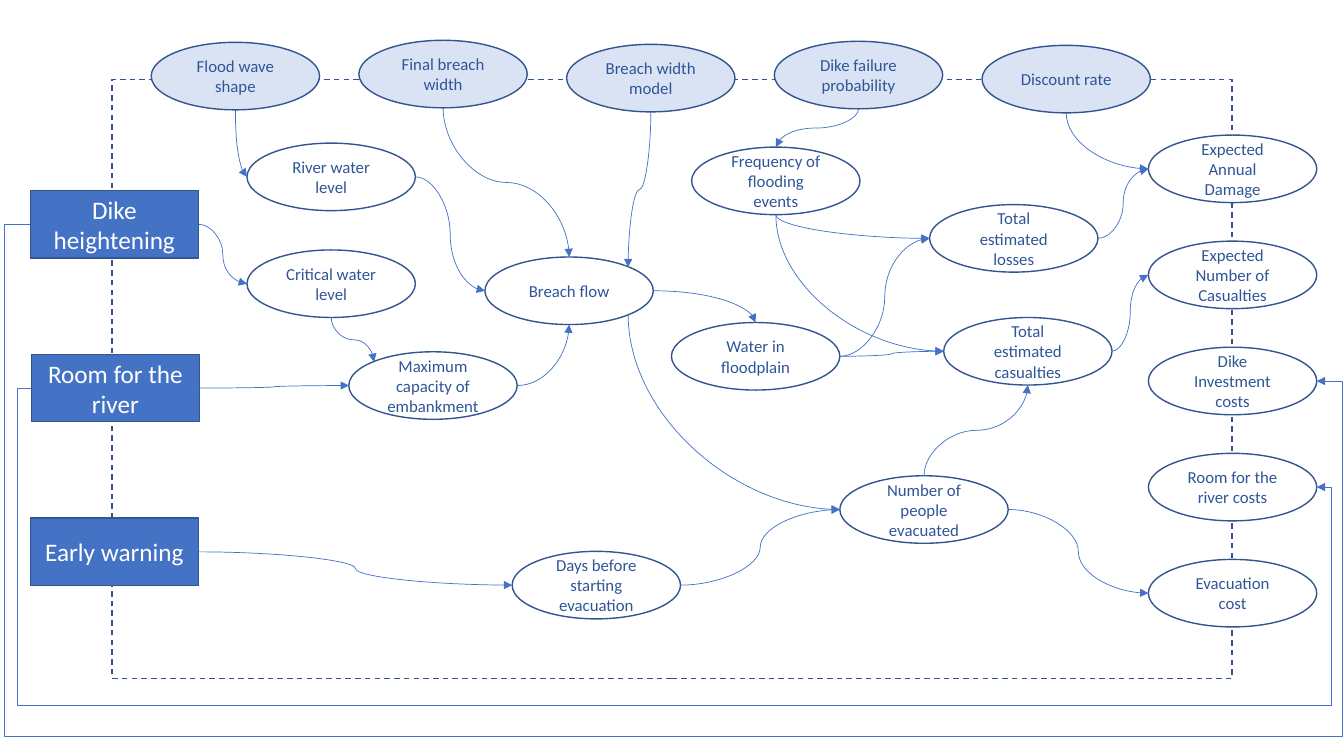
from lxml import etree
from pptx import Presentation
from pptx import util as u
from pptx.dml.color import RGBColor
from pptx.enum import dml, shapes, text
from pptx.oxml import ns

COLOURS = {"outline": "325491", "label": "2F5597", "accent": "4472C4",
           "pale": "DAE3F3", "white": "FFFFFF"}
NODE_W, NODE_H = 1.67, 0.67
FRAME = (1.11, 0.79, 11.11, 5.94)

# Labels with the one coordinate that varies along each row or column
UNCERTAINTIES = [("Flood wave shape", 0.42), ("Final breach width", 0.40),
                 ("Breach width model", 0.44), ("Dike failure probability", 0.41),
                 ("Discount rate", 0.45)]
POLICIES = [("Dike heightening", 0.30), ("Room for the river", 0.31),
            ("Early warning", 0.30)]
OUTCOMES = ["Expected Annual Damage", "Expected Number of Casualties",
            "Dike Investment costs", "Room for the river costs", "Evacuation cost"]
MODEL = {
    "River water level": (2.45, 1.42),
    "Critical water level": (2.45, 2.48),
    "Maximum capacity of embankment": (3.46, 3.49),
    "Breach flow": (4.81, 2.55),
    "Days before starting evacuation": (5.08, 5.47),
    "Water in floodplain": (6.66, 3.20),
    "Frequency of flooding events": (6.86, 1.46),
    "Number of people evacuated": (8.33, 4.72),
    "Total estimated losses": (9.22, 2.03),
    "Total estimated casualties": (9.36, 3.15),
}
CURVES = [
    ("Flood wave shape", "bottom", "River water level", "left"),
    ("Final breach width", "bottom", "Breach flow", "top"),
    ("Breach width model", "bottom", "Breach flow", "top right"),
    ("Dike failure probability", "bottom", "Frequency of flooding events", "top"),
    ("Discount rate", "bottom", "Expected Annual Damage", "left"),
    ("Dike heightening", "right", "Critical water level", "left"),
    ("Room for the river", "right", "Maximum capacity of embankment", "left"),
    ("Early warning", "right", "Days before starting evacuation", "left"),
    ("River water level", "right", "Breach flow", "left"),
    ("Critical water level", "bottom", "Maximum capacity of embankment", "top left"),
    ("Maximum capacity of embankment", "right", "Breach flow", "bottom"),
    ("Breach flow", "right", "Water in floodplain", "top"),
    ("Breach flow", "bottom right", "Number of people evacuated", "left"),
    ("Days before starting evacuation", "right", "Number of people evacuated", "left"),
    ("Water in floodplain", "right", "Total estimated losses", "left"),
    ("Water in floodplain", "right", "Total estimated casualties", "left"),
    ("Frequency of flooding events", "bottom", "Total estimated losses", "left"),
    ("Frequency of flooding events", "bottom", "Total estimated casualties", "left"),
    ("Number of people evacuated", "right", "Evacuation cost", "left"),
    ("Number of people evacuated", "top", "Total estimated casualties", "bottom"),
    ("Total estimated losses", "right", "Expected Annual Damage", "left"),
    ("Total estimated casualties", "right", "Expected Number of Casualties", "left"),
]
# Source, target, then left, bottom and right of the way round the diagram
LOOPS = [("Dike heightening", "Dike Investment costs", 0.04, 7.30, 13.31),
         ("Room for the river", "Room for the river costs", 0.17, 7.00, 13.20)]
SITES = {"top": (0.5, 0), "left": (0, 0.5), "bottom": (0.5, 1), "right": (1, 0.5),
         "top left": (0.15, 0.15), "top right": (0.85, 0.15),
         "bottom right": (0.85, 0.85)}


def rgb(name):
    return RGBColor.from_string(COLOURS[name])


def add_outlined(page, kind, left, top, width, height, fill=None):
    box = page.shapes.add_shape(kind, *map(u.Inches, (left, top, width, height)))
    box.shadow.inherit = False
    if fill:
        box.fill.solid()
        box.fill.fore_color.rgb = rgb(fill)
    else:
        box.fill.background()
    box.line.color.rgb = rgb("outline")
    box.line.width = u.Pt(1)
    return box


def add_node(page, label, spot, kind, fill, size=12, colour="label"):
    box = add_outlined(page, kind, *spot, NODE_W, NODE_H, fill)
    frame = box.text_frame
    frame.word_wrap = True
    frame.vertical_anchor = text.MSO_ANCHOR.MIDDLE
    para = frame.paragraphs[0]
    para.alignment = text.PP_ALIGN.CENTER
    span = para.add_run()
    span.text = label
    span.font.name = "Calibri"
    span.font.size = u.Pt(size)
    span.font.color.rgb = rgb(colour)


def add_arrow(page, kind, preset, start, end, adjustments=()):
    arrow = page.shapes.add_connector(kind, *map(u.Inches, (*start, *end)))
    arrow.line.color.rgb = rgb("accent")
    arrow.line.width = u.Pt(0.5)
    properties = arrow._element.spPr
    etree.SubElement(properties.find(ns.qn("a:ln")), ns.qn("a:tailEnd"), type="triangle")
    etree.SubElement(properties, ns.qn("a:effectLst"))
    geometry = properties.find(ns.qn("a:prstGeom"))
    geometry.set("prst", preset)
    guides = geometry.find(ns.qn("a:avLst"))
    for number, share in enumerate(adjustments, 1):
        etree.SubElement(guides, ns.qn("a:gd"), name=f"adj{number}",
                         fmla=f"val {round(share * 100000)}")
    return arrow


def add_curve(page, start, end, starts_upright, ends_upright):
    """Draw a curve; one that leaves vertically is a level one turned about its centre."""
    bend = 3 if starts_upright == ends_upright else 2
    turn = 0
    if starts_upright:
        dx, dy = end[0] - start[0], end[1] - start[1]
        mid_x, mid_y = (start[0] + end[0]) / 2, (start[1] + end[1]) / 2
        turn, run, rise = (270, -dy, dx) if dx > 0 and dy > 0 else (90, dy, -dx)
        start = (mid_x - run / 2, mid_y - rise / 2)
        end = (mid_x + run / 2, mid_y + rise / 2)
    arrow = add_arrow(page, shapes.MSO_CONNECTOR.CURVE, f"curvedConnector{bend}", start, end)
    if turn:
        arrow._element.spPr.find(ns.qn("a:xfrm")).set("rot", str(turn * 60000))


def add_loop(page, start, end, left, bottom, right):
    width, height = end[0] - start[0], end[1] - start[1]
    shares = ((left - start[0]) / width, (bottom - start[1]) / height,
              (right - start[0]) / width)
    add_arrow(page, shapes.MSO_CONNECTOR.ELBOW, "bentConnector5", start, end, shares)


def main():
    deck = Presentation()
    deck.slide_width, deck.slide_height = u.Inches(13.33), u.Inches(7.5)
    page = deck.slides.add_slide(deck.slide_layouts[6])
    oval, rectangle = shapes.MSO_SHAPE.OVAL, shapes.MSO_SHAPE.RECTANGLE

    border = add_outlined(page, rectangle, *FRAME)
    border.line.dash_style = dml.MSO_LINE.DASH

    uncertainties = {label: (1.5 + 2.06 * i, top)
                     for i, (label, top) in enumerate(UNCERTAINTIES)}
    policies = {label: (left, 1.89 + 1.625 * i)
                for i, (label, left) in enumerate(POLICIES)}
    outcomes = {label: (11.39, 1.34 + 1.0525 * i) for i, label in enumerate(OUTCOMES)}
    spots = {**uncertainties, **policies, **outcomes, **MODEL}

    for label, spot in spots.items():
        if label in policies:
            add_node(page, label, spot, rectangle, "accent", 18, "white")
        else:
            add_node(page, label, spot, oval, "pale" if label in uncertainties else "white")

    def site(label, side):
        (left, top), (across, down) = spots[label], SITES[side]
        return left + across * NODE_W, top + down * NODE_H

    level = ("left", "right")
    for source, leaving, target, arriving in CURVES:
        add_curve(page, site(source, leaving), site(target, arriving),
                  leaving not in level, arriving not in level)
    for source, target, *way_round in LOOPS:
        add_loop(page, site(source, "left"), site(target, "right"), *way_round)

    deck.save("out.pptx")


if __name__ == "__main__":
    main()
